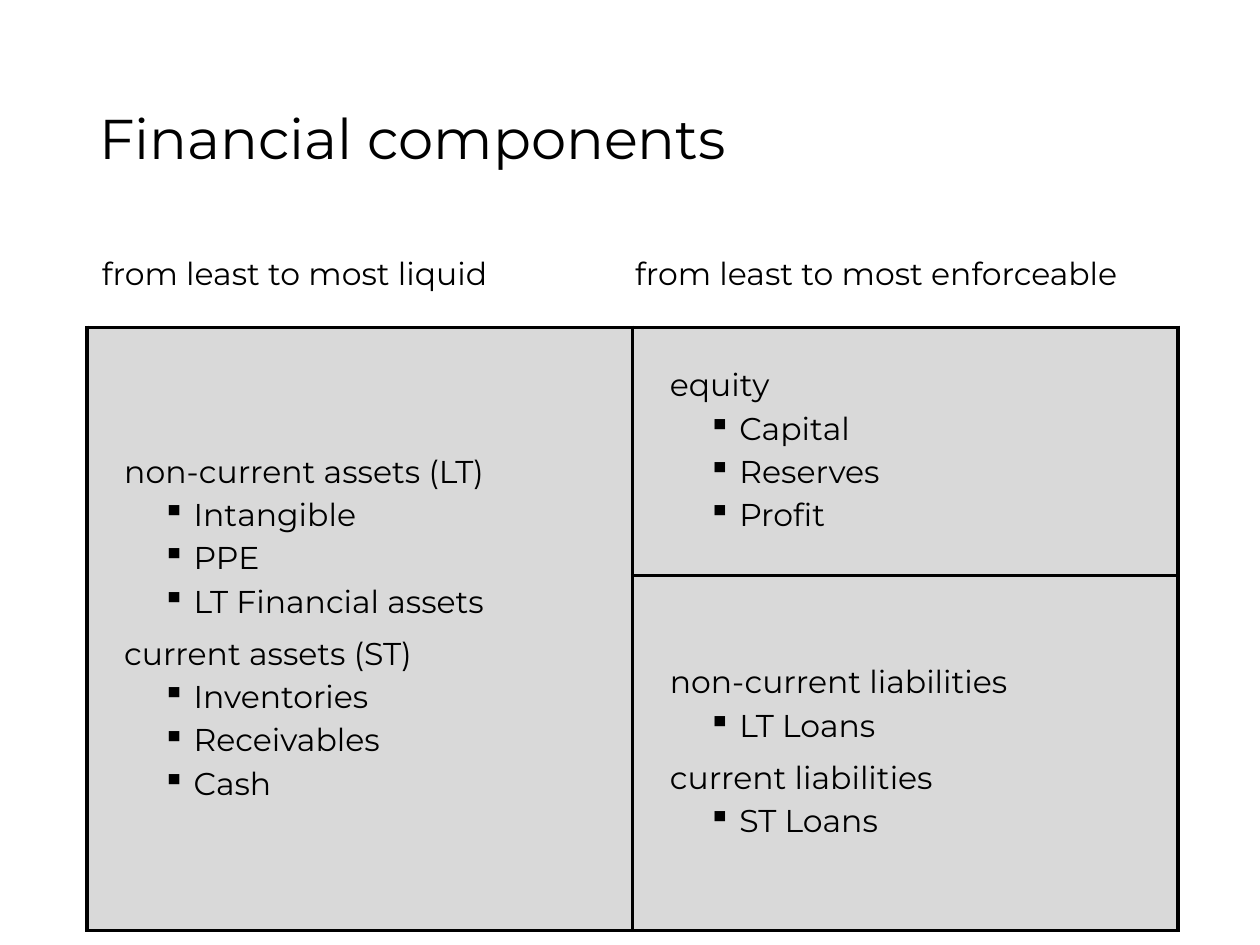
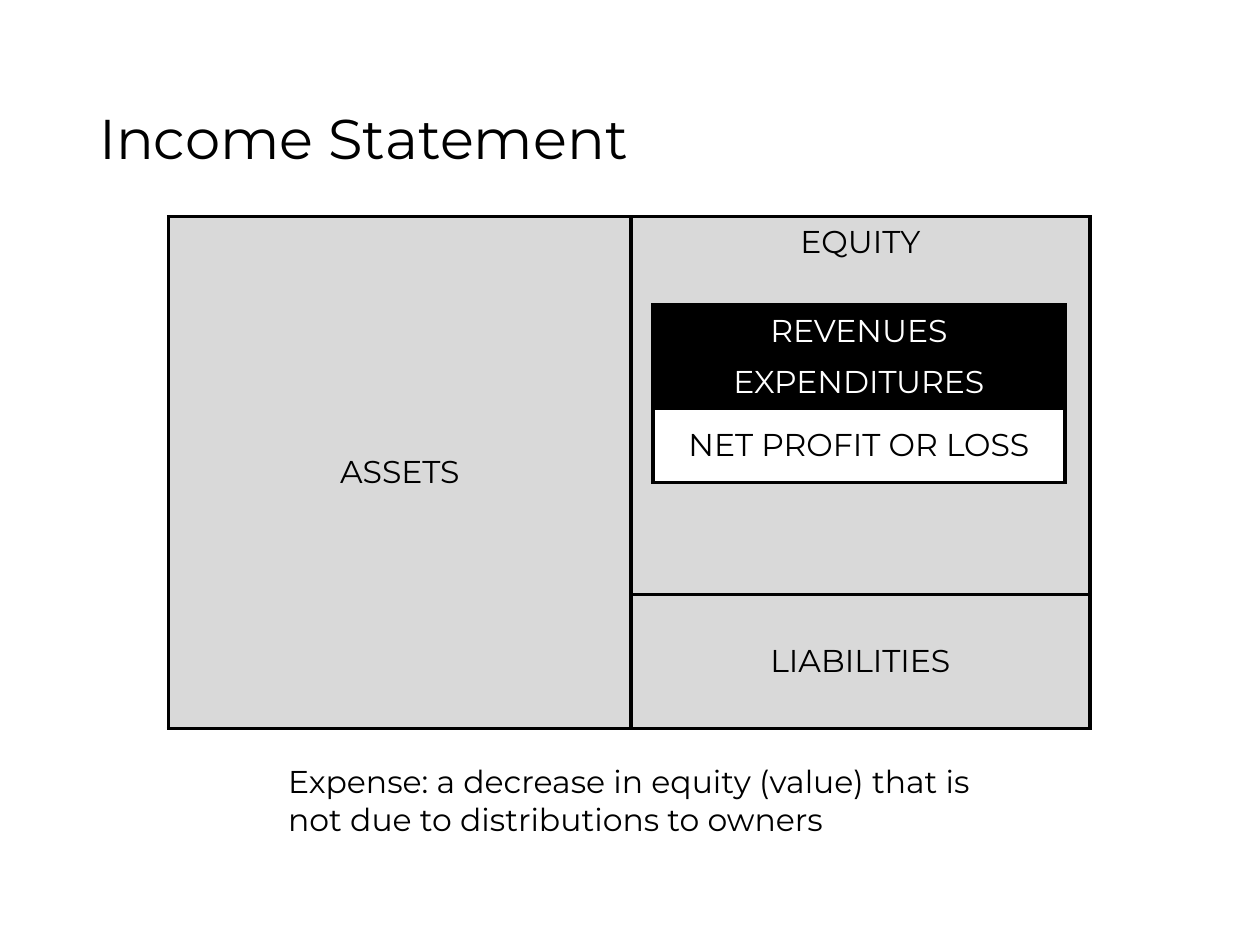
from lxml import etree
from pptx import Presentation
from pptx.dml.color import RGBColor
from pptx.enum import text
from pptx.oxml import ns
from pptx.util import Cm, Pt

BLACK = RGBColor(0, 0, 0)
WHITE = RGBColor(255, 255, 255)
GREY = RGBColor(0xD9, 0xD9, 0xD9)
FONT = "Montserrat"
MID = text.MSO_ANCHOR.MIDDLE
TOP = text.MSO_ANCHOR.TOP
CENTER = text.PP_ALIGN.CENTER


def write(frame, lines, size=18, color=BLACK, align=None, space=None):
    frame.word_wrap = True
    for i, line in enumerate(lines):
        para = frame.paragraphs[0] if i == 0 else frame.add_paragraph()
        para.text, mark, left, hang, gap = line
        para.alignment = align
        para.line_spacing = space
        if i and gap:
            para.space_before = Pt(gap)
        props = para._p.get_or_add_pPr()
        props.set("marL", str(Cm(left)))
        props.set("indent", str(Cm(hang)))
        if mark:
            para.level = 1
            etree.SubElement(props, ns.qn("a:buChar"), char=mark)
        para.font.name = FONT
        para.font.size = Pt(size)
        para.font.color.rgb = color


def grid(slide, left, top, cols, rows, fill=None):
    frame = slide.shapes.add_table(len(rows), len(cols), Cm(left), Cm(top), Cm(sum(cols)), Cm(sum(rows)))
    table = frame.table
    table.first_row = table.horz_banding = False
    for col, width in zip(table.columns, cols):
        col.width = Cm(width)
    for row, height in zip(table.rows, rows):
        row.height = Cm(height)
    for cell in table.iter_cells():
        cell.vertical_anchor = MID
        if fill is None:
            cell.fill.background()
            continue
        cell.fill.solid()
        cell.fill.fore_color.rgb = fill
        props = cell._tc.get_or_add_tcPr()
        for i, side in enumerate("LRTB"):
            line = etree.Element(ns.qn("a:ln" + side), w=str(Pt(2.25)))
            solid = etree.SubElement(line, ns.qn("a:solidFill"))
            etree.SubElement(solid, ns.qn("a:srgbClr"), val=str(BLACK))
            props.insert(i, line)
    return table


deck = Presentation()
deck.slide_width, deck.slide_height = Cm(25.4), Cm(19.05)
slides = []
for title in ("Financial components", "Income Statement"):
    slide = deck.slides.add_slide(deck.slide_layouts[6])
    box = slide.shapes.add_textbox(Cm(1.75), Cm(1.02), Cm(21.9), Cm(3.68))
    box.text_frame.vertical_anchor = MID
    write(box.text_frame, [(title, "", 0, 0, 0)], size=32, space=0.9)
    slides.append(slide)
parts, income = slides

sheet = grid(parts, 1.75, 6.6, [11, 11], [5, 5], GREY)
sheet.cell(0, 0).merge(sheet.cell(1, 0))
groups = {
    (0, 0): [
        ("non-current assets (LT)", ["Intangible", "PPE", "LT Financial assets"]),
        ("current assets (ST)", ["Inventories", "Receivables", "Cash"]),
    ],
    (0, 1): [("equity", ["Capital", "Reserves", "Profit"])],
    (1, 1): [
        ("non-current liabilities", ["LT Loans"]),
        ("current liabilities", ["ST Loans"]),
    ],
}
for spot, group in groups.items():
    lines = []
    for head, items in group:
        lines.append((head, "", 0, 0.5, 10))
        lines += [(item, "▪", 1.9, -0.63, 5) for item in items]
    write(sheet.cell(*spot).text_frame, lines, space=0.9)

heads = grid(parts, 1.55, 4.75, [11, 11.3], [1.6])
for i, (head, hang) in enumerate([("from least to most liquid", 0), ("from least to most enforceable", -0.25)]):
    write(heads.cell(0, i).text_frame, [(head, "", 0.25, hang, 0)], space=0.9)

sheet = grid(income, 3.4, 4.37, [9.32, 9.25], [7.62, 2.69], GREY)
sheet.cell(0, 0).merge(sheet.cell(1, 0))
sheet.cell(0, 1).vertical_anchor = TOP
for spot, name in {(0, 0): "ASSETS", (0, 1): "EQUITY", (1, 1): "LIABILITIES"}.items():
    write(sheet.cell(*spot).text_frame, [(name, "", 0, 0, 0)], align=CENTER)

result = grid(income, 13.16, 6.15, [8.31], [1.04, 1.04, 1.5], BLACK)
result.cell(2, 0).fill.fore_color.rgb = WHITE
rows = [("REVENUES", WHITE), ("EXPENDITURES", WHITE), ("NET PROFIT OR LOSS", BLACK)]
for i, (name, color) in enumerate(rows):
    write(result.cell(i, 0).text_frame, [(name, "", 0, 0, 0)], color=color, align=CENTER)

note = income.shapes.add_textbox(Cm(5.56), Cm(15.24), Cm(14.25), Cm(1.8))
quote = "Expense: a decrease in equity (value) that is not due to distributions to owners"
write(note.text_frame, [(quote, "", 0, 0, 0)])

deck.save("out.pptx")
